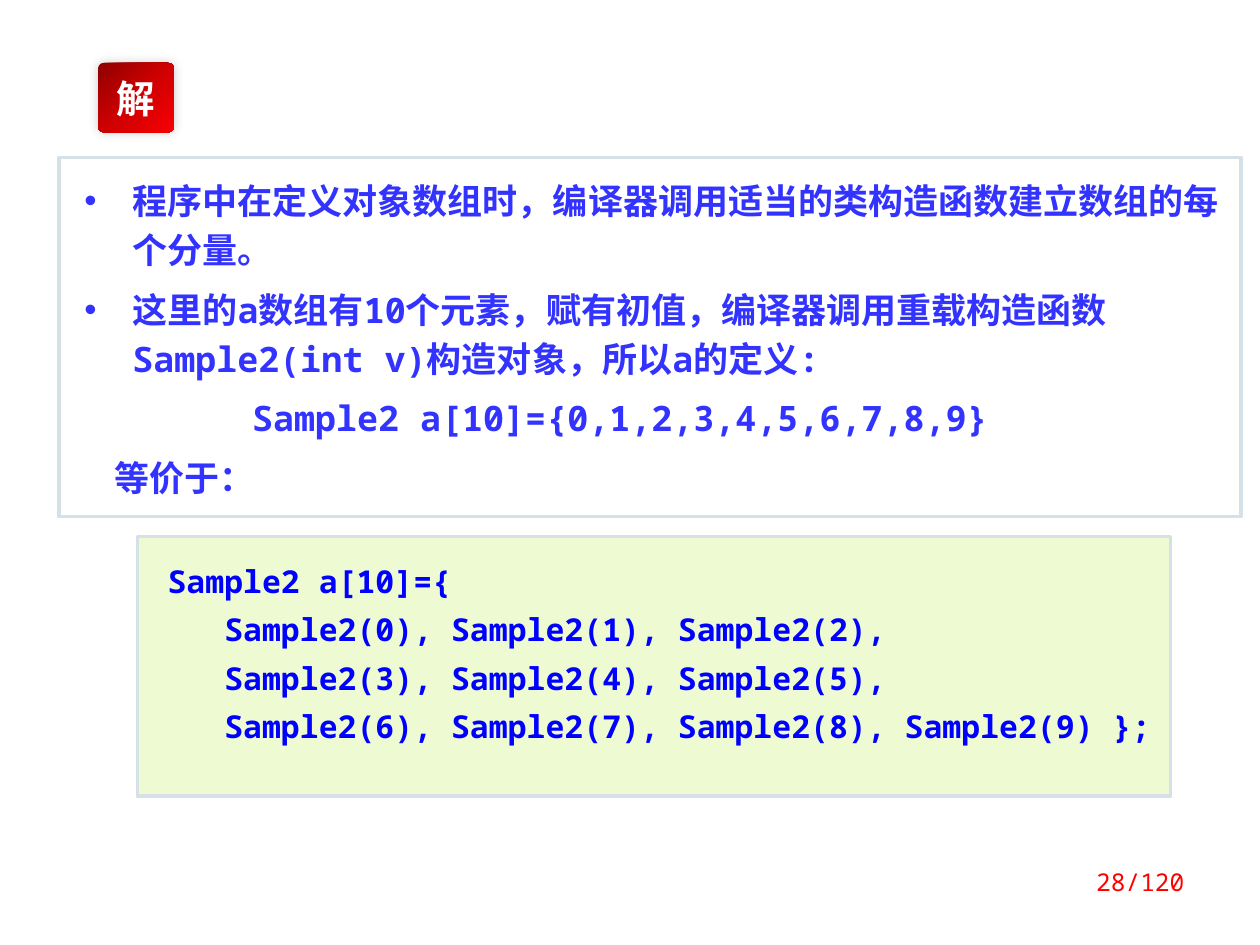
from lxml import etree
from pptx import Presentation
from pptx.dml.color import RGBColor
from pptx.enum.shapes import MSO_SHAPE
from pptx.enum.text import MSO_ANCHOR, PP_ALIGN
from pptx.oxml import parse_xml
from pptx.oxml.ns import nsdecls, qn
from pptx.util import Inches, Pt

RECTANGLE = MSO_SHAPE.RECTANGLE
ROUNDED_RECTANGLE = MSO_SHAPE.ROUNDED_RECTANGLE
TOP, MIDDLE = MSO_ANCHOR.TOP, MSO_ANCHOR.MIDDLE
CENTER, LEFT, RIGHT = PP_ALIGN.CENTER, PP_ALIGN.LEFT, PP_ALIGN.RIGHT
CODE_FONT, CHINESE_FONT = "Noto Sans Mono", "Noto Sans CJK SC"

# text, left margin, first line indent
EXPLANATION = [
    ("程序中在定义对象数组时，编译器调用适当的类构造函数建立数组的每个分量。", 0.38, -0.38),
    ("这里的a数组有10个元素，赋有初值，编译器调用重载构造函数"
     "Sample2(int v)构造对象，所以a的定义:", 0.38, -0.38),
    ("Sample2 a[10]={0,1,2,3,4,5,6,7,8,9}", 1.33, 0),
    ("等价于：", 0.24, 0),
]
CODE = [
    "Sample2 a[10]={",
    "   Sample2(0), Sample2(1), Sample2(2),",
    "   Sample2(3), Sample2(4), Sample2(5),",
    "   Sample2(6), Sample2(7), Sample2(8), Sample2(9) };",
]


def color(value):
    """Turn a hex string into a colour."""
    return RGBColor.from_string(value)


def add_run(paragraph, text, size, hex_color, bold=True, font=CODE_FONT):
    """Add one formatted run with a Chinese font for its Chinese letters."""
    run = paragraph.add_run()
    run.text = text
    run.font.size = Pt(size)
    run.font.bold = bold
    run.font.name = font
    run.font.color.rgb = color(hex_color)
    east_asian = etree.SubElement(run._r.get_or_add_rPr(), qn("a:ea"))
    east_asian.set("typeface", CHINESE_FONT)


def set_margins(frame, left, top, right, bottom):
    """Set the four insets of a text frame in inches."""
    frame.margin_left, frame.margin_top = Inches(left), Inches(top)
    frame.margin_right, frame.margin_bottom = Inches(right), Inches(bottom)


def paragraphs_for(frame, items):
    """Yield one paragraph of the frame with each item."""
    for index, item in enumerate(items):
        paragraph = frame.add_paragraph() if index else frame.paragraphs[0]
        paragraph.alignment = LEFT
        if index:
            paragraph.space_before = Pt(6)
        yield paragraph, item


def add_panel(slide, box, fill, margins):
    """Draw a bordered panel and return its text frame."""
    shape = slide.shapes.add_shape(RECTANGLE, *map(Inches, box))
    shape.shadow.inherit = False
    shape.fill.solid()
    shape.fill.fore_color.rgb = color(fill)
    shape.line.color.rgb = color("D5E0E7")
    shape.line.width = Pt(2)
    frame = shape.text_frame
    frame.word_wrap = True
    frame.vertical_anchor = TOP
    set_margins(frame, *margins)
    return frame


def add_explanation(slide, box):
    """Fill the upper panel with the bulleted explanation."""
    frame = add_panel(slide, box, "FFFFFF", (0.2, 0.12, 0.1, 0.12))
    for paragraph, (text, margin, indent) in paragraphs_for(frame, EXPLANATION):
        paragraph.line_spacing = Pt(28)
        properties = paragraph._p.get_or_add_pPr()
        properties.set("marL", str(Inches(margin)))
        properties.set("indent", str(Inches(indent)))
        if indent:
            etree.SubElement(properties, qn("a:buFont")).set("typeface", "Arial")
            etree.SubElement(properties, qn("a:buChar")).set("char", "•")
        add_run(paragraph, text, 20, "3333FF")


def add_code(slide, box):
    """Fill the lower panel with the code listing."""
    frame = add_panel(slide, box, "EDFAD2", (0.24, 0.2, 0.1, 0.2))
    for paragraph, line in paragraphs_for(frame, CODE):
        add_run(paragraph, line, 18, "0000FF")


def add_badge(slide, box):
    """Draw the red gradient badge with its soft shadow."""
    badge = slide.shapes.add_shape(ROUNDED_RECTANGLE, *map(Inches, box))
    badge.adjustments[0] = 0.08
    badge.shadow.inherit = False
    badge.line.fill.background()
    stops = "".join(
        f'<a:gs pos="{position * 1000}"><a:srgbClr val="{value}"/></a:gs>'
        for position, value in ((0, "8F0000"), (50, "CF0001"), (100, "F60004")))
    properties = badge._element.spPr
    properties.find(qn("a:prstGeom")).addnext(parse_xml(
        f'<a:gradFill {nsdecls("a")} rotWithShape="1"><a:gsLst>{stops}</a:gsLst>'
        '<a:lin ang="2700000" scaled="0"/></a:gradFill>'))
    properties.find(qn("a:effectLst")).append(parse_xml(
        f'<a:outerShdw {nsdecls("a")} blurRad="{Pt(6)}" dist="0" dir="13500000">'
        '<a:srgbClr val="000000"><a:alpha val="20000"/></a:srgbClr></a:outerShdw>'))
    frame = badge.text_frame
    frame.word_wrap = False
    frame.vertical_anchor = MIDDLE
    paragraph = frame.paragraphs[0]
    paragraph.alignment = CENTER
    add_run(paragraph, "解", 22, "FFFFFF", font=CHINESE_FONT)


def add_page_number(slide, box):
    """Write the page number at the right of its box."""
    frame = slide.shapes.add_textbox(*map(Inches, box)).text_frame
    frame.word_wrap = True
    paragraph = frame.paragraphs[0]
    paragraph.alignment = RIGHT
    add_run(paragraph, "28/120", 14, "FF0000", bold=False)


def main():
    """Build and save the slide."""
    presentation = Presentation()
    presentation.slide_width, presentation.slide_height = Inches(10), Inches(7.5)
    slide = presentation.slides.add_slide(presentation.slide_layouts[6])
    add_explanation(slide, (0.47, 1.25, 9.38, 2.85))
    add_code(slide, (1.09, 4.26, 8.2, 2.06))
    add_badge(slide, (0.78, 0.5, 0.6, 0.55))
    add_page_number(slide, (7.17, 6.83, 2.33, 0.5))
    presentation.save("out.pptx")


if __name__ == "__main__":
    main()
